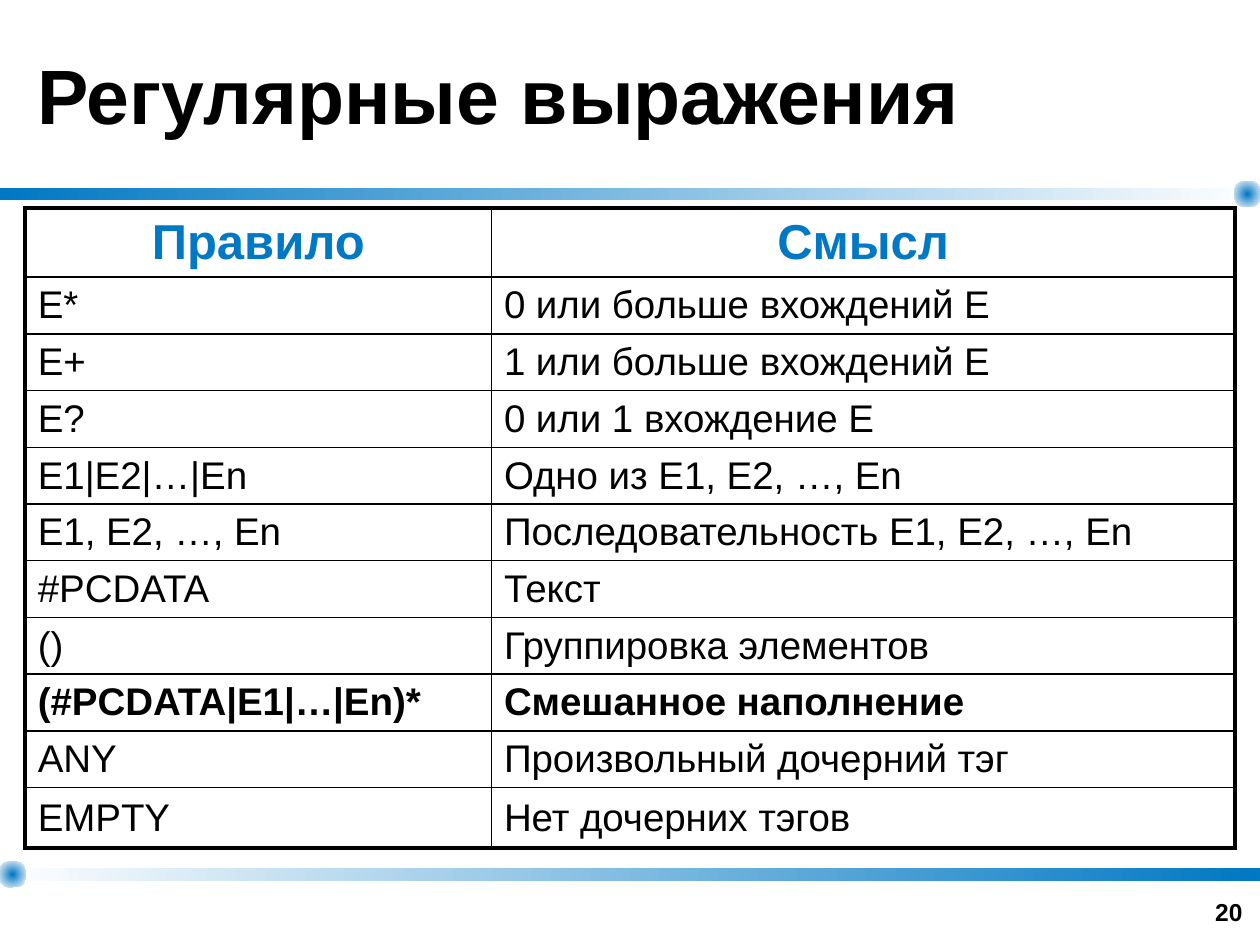
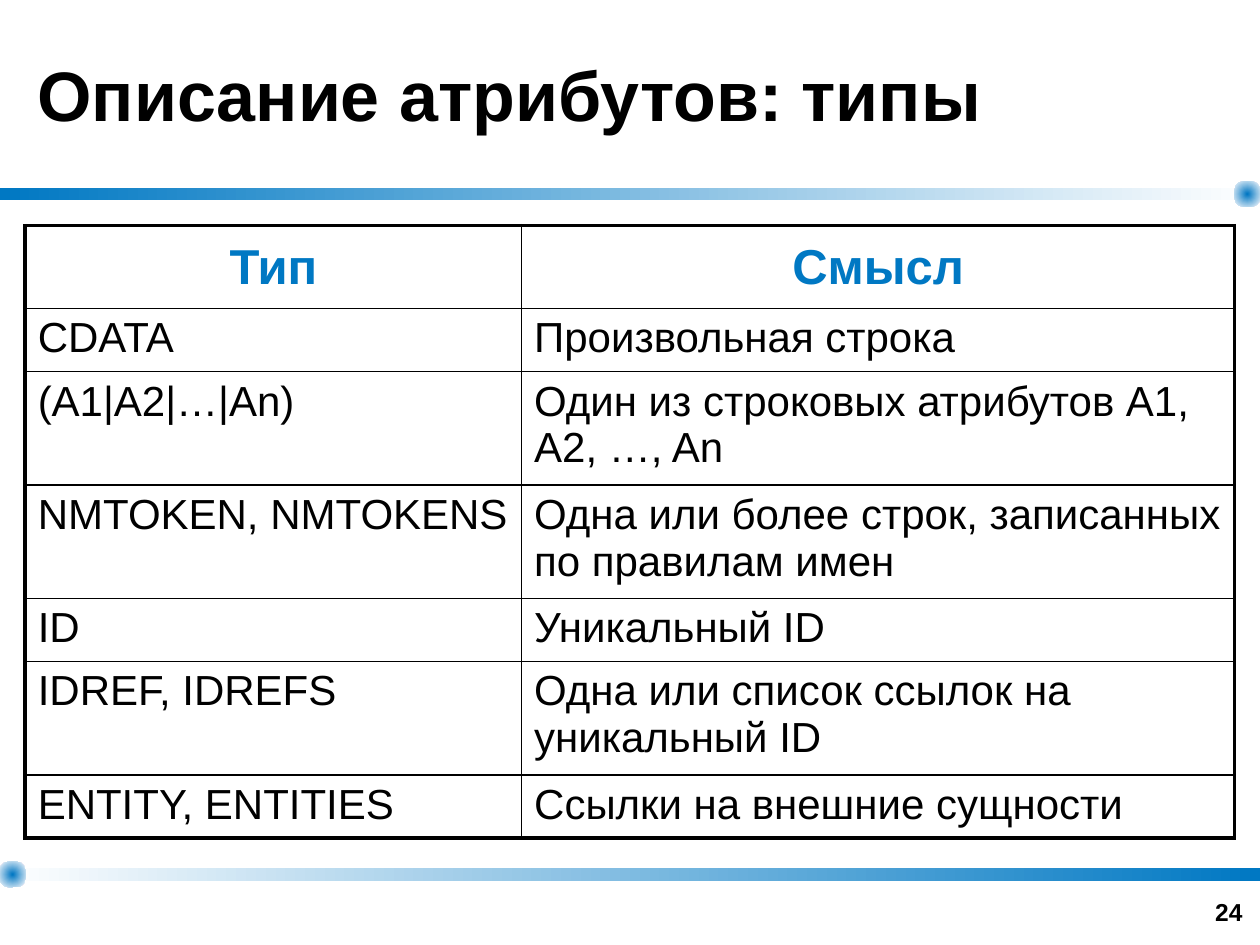
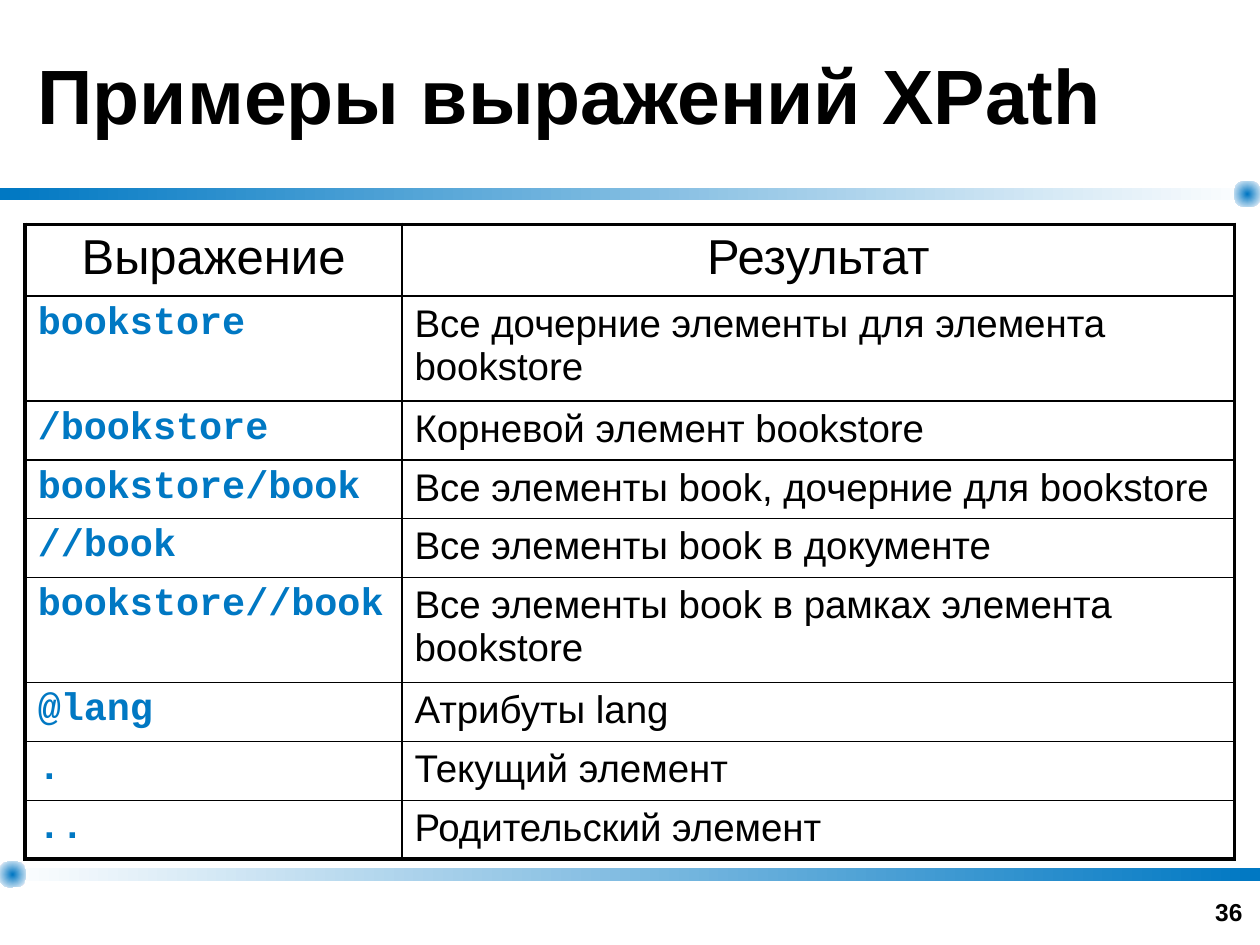
from dataclasses import dataclass

from pptx import Presentation
from pptx.dml.color import RGBColor
from pptx.enum import shapes, text
from pptx.oxml import parse_xml
from pptx.oxml.ns import nsdecls, qn
from pptx.util import Inches, Pt


@dataclass(frozen=True)
class Theme:
    blue: str = "0078C3"
    black: str = "000000"
    white: str = "FFFFFF"
    font: str = "Arial"
    code_font: str = "Courier New"
    number_size: int = 14
    header_size: int = 28
    outer_line: float = 2.25
    inner_line: float = 1


theme = Theme()
MIDDLE, TOP, BOTTOM = (text.MSO_ANCHOR.MIDDLE, text.MSO_ANCHOR.TOP,
                       text.MSO_ANCHOR.BOTTOM)
LEFT, CENTER, RIGHT = text.PP_ALIGN.LEFT, text.PP_ALIGN.CENTER, text.PP_ALIGN.RIGHT

# Each row is (height, left cell, right cell); the first row is the header.
tables = [
    dict(
        title="Регулярные выражения", title_size=44, number="20",
        top=1.65, columns=(3.7, 5.9), body_size=22, cell_margin=0.04,
        header_anchor=MIDDLE, body_anchor=MIDDLE,
        header_color=theme.blue, header_bold=True,
        code_column=False, bold_rows=(8,),
        rows=[
            (0.55, "Правило", "Смысл"),
            (0.45, "E*", "0 или больше вхождений Е"),
            (0.45, "E+", "1 или больше вхождений Е"),
            (0.45, "E?", "0 или 1 вхождение Е"),
            (0.45, "E1|E2|…|En", "Одно из Е1, Е2, …, Еn"),
            (0.45, "E1, E2, …, En", "Последовательность E1, E2, …, En"),
            (0.45, "#PCDATA", "Текст"),
            (0.45, "()", "Группировка элементов"),
            (0.45, "(#PCDATA|E1|…|En)*", "Смешанное наполнение"),
            (0.45, "ANY", "Произвольный дочерний тэг"),
            (0.48, "EMPTY", "Нет дочерних тэгов"),
        ],
    ),
    dict(
        title="Описание атрибутов: типы", title_size=40, number="24",
        top=1.79, columns=(3.94, 5.66), body_size=24, cell_margin=0.05,
        header_anchor=MIDDLE, body_anchor=TOP,
        header_color=theme.blue, header_bold=True,
        code_column=False, bold_rows=(),
        rows=[
            (0.66, "Тип", "Смысл"),
            (0.5, "CDATA", "Произвольная строка"),
            (0.9, "(A1|A2|…|An)", "Один из строковых атрибутов A1, A2, …, An"),
            (0.9, "NMTOKEN, NMTOKENS",
             "Одна или более строк, записанных по правилам имен"),
            (0.5, "ID", "Уникальный ID"),
            (0.9, "IDREF, IDREFS", "Одна или список ссылок на уникальный ID"),
            (0.5, "ENTITY, ENTITIES", "Ссылки на внешние сущности"),
        ],
    ),
    dict(
        title="Примеры выражений XPath", title_size=44, number="36",
        top=1.78, columns=(2.99, 6.61), body_size=22, cell_margin=0.05,
        header_anchor=TOP, body_anchor=TOP,
        header_color=theme.black, header_bold=False,
        code_column=True, bold_rows=(),
        rows=[
            (0.57, "Выражение", "Результат"),
            (0.83, "bookstore", "Все дочерние элементы для элемента bookstore"),
            (0.46, "/bookstore", "Корневой элемент bookstore"),
            (0.46, "bookstore/book", "Все элементы book, дочерние для bookstore"),
            (0.46, "//book", "Все элементы book в документе"),
            (0.83, "bookstore//book",
             "Все элементы book в рамках элемента bookstore"),
            (0.46, "@lang", "Атрибуты lang"),
            (0.46, ".", "Текущий элемент"),
            (0.46, "..", "Родительский элемент"),
        ],
    ),
]


def add_span(para, words, size, bold, color=theme.black, font=theme.font):
    span = para.add_run()
    span.text = words
    span.font.size = Pt(size)
    span.font.bold = bold
    span.font.name = font
    span.font.color.rgb = RGBColor.from_string(color)


def add_gradient_shape(page, kind, place, colors):
    shape = page.shapes.add_shape(kind, *map(Inches, place))
    shape.shadow.inherit = False
    shape.line.fill.background()
    shape.fill.gradient()
    shape.fill.gradient_angle = 0
    for stop, color in zip(shape.fill.gradient_stops, colors):
        stop.color.rgb = RGBColor.from_string(color)
    return shape


deck = Presentation()
deck.slide_width, deck.slide_height = Inches(10), Inches(7.5)

for item in tables:
    page = deck.slides.add_slide(deck.slide_layouts[6])

    # Bands that fade towards a glowing dot at one end
    fade = (theme.blue, theme.white)
    for band_top, dot_left, colors in ((1.49, 9.8, fade), (6.89, 0, fade[::-1])):
        add_gradient_shape(page, shapes.MSO_SHAPE.RECTANGLE,
                           (0, band_top, 10, 0.1), colors)
        dot = add_gradient_shape(page, shapes.MSO_SHAPE.ROUNDED_RECTANGLE,
                                 (dot_left, band_top - 0.05, 0.2, 0.2), fade)
        dot.adjustments[0] = 0.32
        gradient = dot._element.spPr.find(qn("a:gradFill"))
        gradient.replace(gradient.find(qn("a:lin")), parse_xml(
            f'<a:path {nsdecls("a")} path="circle">'
            '<a:fillToRect l="50000" t="50000" r="50000" b="50000"/></a:path>'))

    # Page number and title
    for words, place, size, anchor, align in (
        (item["number"], (7.63, 6.9, 2.33, 0.5), theme.number_size, BOTTOM, RIGHT),
        (item["title"], (0.2, 0, 9.6, 1.49), item["title_size"], MIDDLE, LEFT),
    ):
        box = page.shapes.add_textbox(*map(Inches, place))
        box.text_frame.word_wrap = True
        box.text_frame.vertical_anchor = anchor
        para = box.text_frame.paragraphs[0]
        para.alignment = align
        add_span(para, words, size, True)

    # Table
    rows, columns = item["rows"], item["columns"]
    height = sum(row[0] for row in rows)
    table = page.shapes.add_table(
        len(rows), len(columns), Inches(0.2), Inches(item["top"]),
        Inches(sum(columns)), Inches(height)).table
    table.first_row = table.horz_banding = False
    for column, width in zip(table.columns, columns):
        column.width = Inches(width)

    for row_index, (row_height, *entries) in enumerate(rows):
        table.rows[row_index].height = Inches(row_height)
        is_header = row_index == 0
        for column_index, words in enumerate(entries):
            cell = table.cell(row_index, column_index)
            cell.fill.background()
            cell.margin_top = cell.margin_bottom = Inches(item["cell_margin"])
            para = cell.text_frame.paragraphs[0]
            if is_header:
                cell.vertical_anchor = item["header_anchor"]
                para.alignment = CENTER
                add_span(para, words, theme.header_size,
                         item["header_bold"], item["header_color"])
            else:
                cell.vertical_anchor = item["body_anchor"]
                para.alignment = LEFT
                if item["code_column"] and column_index == 0:
                    add_span(para, words, item["body_size"], True,
                             theme.blue, theme.code_font)
                else:
                    add_span(para, words, item["body_size"],
                             row_index in item["bold_rows"])

            # Heavy lines on the outside, thin lines between cells
            on_edge = {
                "lnL": column_index == 0,
                "lnR": column_index == len(columns) - 1,
                "lnT": is_header,
                "lnB": row_index == len(rows) - 1,
            }
            properties = cell._tc.get_or_add_tcPr()
            for position, (side, outer) in enumerate(on_edge.items()):
                weight = Pt(theme.outer_line if outer else theme.inner_line)
                properties.insert(position, parse_xml(
                    f'<a:{side} {nsdecls("a")} w="{weight}"><a:solidFill>'
                    f'<a:srgbClr val="{theme.black}"/></a:solidFill></a:{side}>'))

deck.save("out.pptx")
